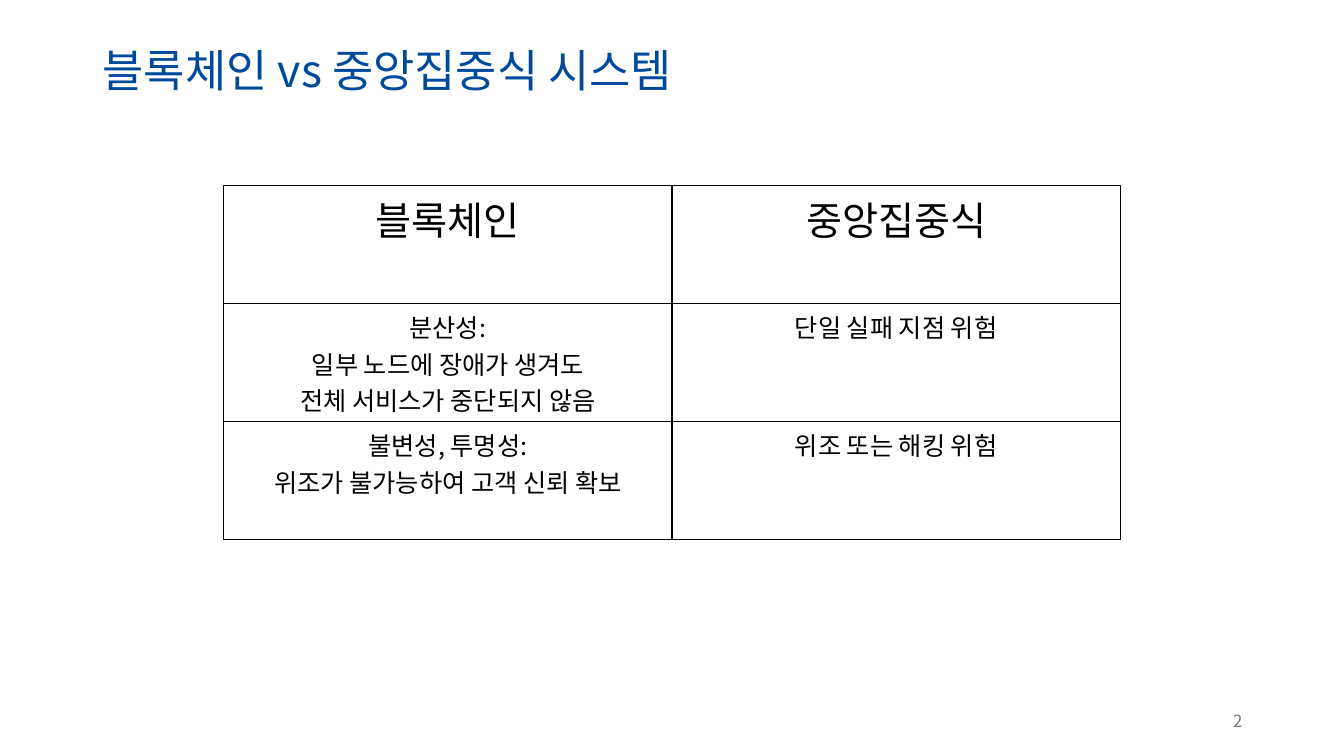
from dataclasses import dataclass

from lxml.etree import SubElement
from pptx import Presentation
from pptx.dml.color import RGBColor
from pptx.enum.text import MSO_ANCHOR, PP_ALIGN
from pptx.oxml.ns import qn
from pptx.slide import Slide
from pptx.table import _Cell
from pptx.text.text import TextFrame
from pptx.util import Inches, Pt

COLORS = {"title": "004A9C", "number": "797979", "ink": "000000", "paper": "FFFFFF"}
TYPEFACE = "Noto Sans CJK KR"
FRAME_FORMAT = {"word_wrap": True, "vertical_anchor": MSO_ANCHOR.MIDDLE}
BORDER_SIDES = ("a:lnL", "a:lnR", "a:lnT", "a:lnB")


@dataclass(frozen=True)
class Label:
    text: str
    left: float
    top: float
    width: float
    height: float
    size: float
    color: str
    align: PP_ALIGN
    spacing: float = 1.0


@dataclass(frozen=True)
class Comparison:
    blockchain: str
    centralized: str
    size: float = 18


LABELS = [
    Label("블록체인 vs 중앙집중식 시스템", 0.92, 0, 11.5, 1.45, 32, "title", PP_ALIGN.LEFT, 0.9),
    Label("2", 9.42, 6.95, 3, 0.4, 12, "number", PP_ALIGN.RIGHT),
]
COMPARISONS = [
    Comparison("블록체인", "중앙집중식", 28),
    Comparison("분산성:\n일부 노드에 장애가 생겨도\n전체 서비스가 중단되지 않음", "단일 실패 지점 위험"),
    Comparison("불변성, 투명성:\n위조가 불가능하여 고객 신뢰 확보", "위조 또는 해킹 위험"),
]


def write(frame: TextFrame, text: str, size: float, color: str,
          align: PP_ALIGN, spacing: float = 1.0) -> None:
    frame.text = text
    paragraph_format = {"alignment": align, "line_spacing": spacing}
    font_format = {"name": TYPEFACE, "size": Pt(size)}
    for paragraph in frame.paragraphs:
        for attribute, value in paragraph_format.items():
            setattr(paragraph, attribute, value)
        for run in paragraph.runs:
            for attribute, value in font_format.items():
                setattr(run.font, attribute, value)
            run.font.color.rgb = RGBColor.from_string(COLORS[color])
            SubElement(run.font._element, qn("a:ea"), typeface=TYPEFACE)


def add_label(slide: Slide, label: Label) -> None:
    frame = slide.shapes.add_textbox(
        Inches(label.left), Inches(label.top), Inches(label.width), Inches(label.height)
    ).text_frame
    for attribute, value in FRAME_FORMAT.items():
        setattr(frame, attribute, value)
    write(frame, label.text, label.size, label.color, label.align, label.spacing)


def style_cell(cell: _Cell) -> None:
    properties = cell._tc.get_or_add_tcPr()
    for side in BORDER_SIDES:
        border = SubElement(properties, qn(side), w=str(Pt(1)))
        ink = SubElement(border, qn("a:solidFill"))
        SubElement(ink, qn("a:srgbClr"), val=COLORS["ink"])
    cell.fill.solid()
    cell.fill.fore_color.rgb = RGBColor.from_string(COLORS["paper"])


def add_comparisons(slide: Slide, comparisons: list[Comparison]) -> None:
    table = slide.shapes.add_table(
        len(comparisons), 2, Inches(2.22), Inches(1.84), Inches(8.89), Inches(3.51)
    ).table
    for row, comparison in enumerate(comparisons):
        for column, text in enumerate((comparison.blockchain, comparison.centralized)):
            cell = table.cell(row, column)
            style_cell(cell)
            write(cell.text_frame, text, comparison.size, "ink", PP_ALIGN.CENTER)


def main() -> None:
    presentation = Presentation()
    presentation.slide_width = Inches(13.33)
    presentation.slide_height = Inches(7.5)
    slide = presentation.slides.add_slide(presentation.slide_layouts[6])
    for label in LABELS:
        add_label(slide, label)
    add_comparisons(slide, COMPARISONS)
    presentation.save("out.pptx")


if __name__ == "__main__":
    main()
